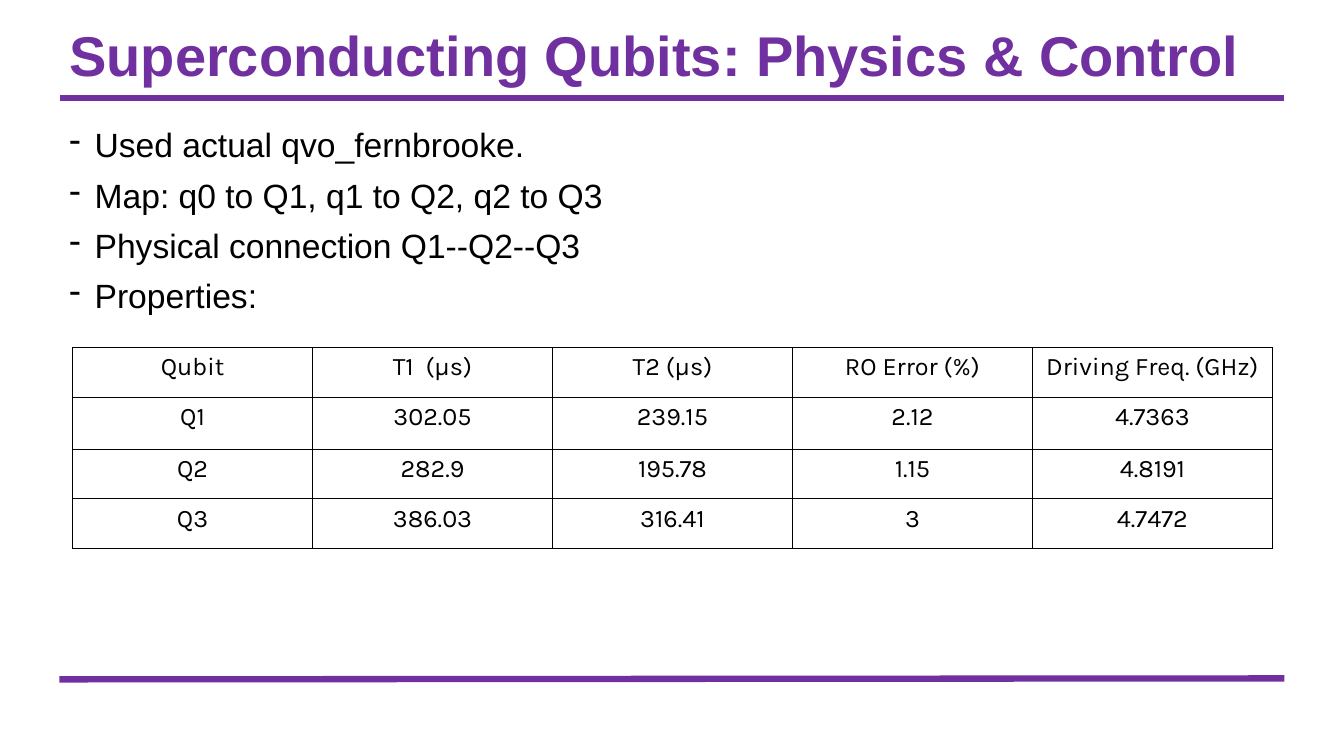
from lxml import etree
from pptx import Presentation
from pptx.dml.color import RGBColor
from pptx.enum.shapes import MSO_CONNECTOR
from pptx.enum.text import MSO_ANCHOR, PP_ALIGN
from pptx.oxml.ns import qn
from pptx.util import Inches, Pt

STRAIGHT = MSO_CONNECTOR.STRAIGHT
MIDDLE, TOP = MSO_ANCHOR.MIDDLE, MSO_ANCHOR.TOP
CENTER = PP_ALIGN.CENTER

COLORS = {"purple": "7030A0", "black": "000000"}

TITLE = "Superconducting Qubits: Physics & Control"
POINTS = [
    "Used actual qvo_fernbrooke.",
    "Map: q0 to Q1, q1 to Q2, q2 to Q3",
    "Physical connection Q1--Q2--Q3",
    "Properties:",
]
ROWS = [
    ["Qubit", "T1  (µs)", "T2 (µs)", "RO Error (%)", "Driving Freq. (GHz)"],
    ["Q1", "302.05", "239.15", "2.12", "4.7363"],
    ["Q2", "282.9", "195.78", "1.15", "4.8191"],
    ["Q3", "386.03", "316.41", "3", "4.7472"],
]
HEIGHTS = [0.49, 0.52, 0.49, 0.49]
COL_WIDTH = 2.38


def set_font(para, name, size, color, bold=False):
    font = para.font
    font.name, font.size, font.bold = name, Pt(size), bold
    font.color.rgb = RGBColor.from_string(COLORS[color])


def add_rule(slide, x1, y1, x2, y2):
    rule = slide.shapes.add_connector(
        STRAIGHT, Inches(x1), Inches(y1), Inches(x2), Inches(y2))
    rule.line.color.rgb = RGBColor.from_string(COLORS["purple"])
    rule.line.width = Pt(4.5)
    etree.SubElement(rule._element.spPr, qn("a:effectLst"))


def add_box(slide, x, y, w, h, anchor):
    box = slide.shapes.add_textbox(Inches(x), Inches(y), Inches(w), Inches(h))
    frame = box.text_frame
    frame.word_wrap = True
    frame.vertical_anchor = anchor
    return frame


def add_title(slide):
    para = add_box(slide, 0.59, 0.15, 12.15, 0.85, MIDDLE).paragraphs[0]
    para.text = TITLE
    para.line_spacing = 0.9
    set_font(para, "Arial", 40, "purple", bold=True)


def add_points(slide):
    frame = add_box(slide, 0.59, 1.23, 12.15, 5.53, TOP)
    for i, point in enumerate(POINTS):
        para = frame.add_paragraph() if i else frame.paragraphs[0]
        para.text = point
        para.line_spacing = 0.9
        para.space_before = Pt(10)
        # Dash with a hanging indent
        props = para._p.get_or_add_pPr()
        props.set("marL", str(Inches(0.25)))
        props.set("indent", str(Inches(-0.25)))
        etree.SubElement(props, qn("a:buChar"), char="-")
        set_font(para, "Arial", 24, "black")


def add_borders(cell):
    props = cell._tc.get_or_add_tcPr()
    for side in ("lnL", "lnR", "lnT", "lnB"):
        line = etree.SubElement(props, qn(f"a:{side}"), w=str(Pt(1)))
        fill = etree.SubElement(line, qn("a:solidFill"))
        etree.SubElement(fill, qn("a:srgbClr"), val=COLORS["black"])


def add_grid(slide):
    count = len(ROWS[0])
    table = slide.shapes.add_table(
        len(ROWS), count, Inches(0.72), Inches(3.45),
        Inches(COL_WIDTH * count), Inches(sum(HEIGHTS))).table
    table.first_row = table.horz_banding = False
    for col in table.columns:
        col.width = Inches(COL_WIDTH)
    for r, (row, height) in enumerate(zip(ROWS, HEIGHTS)):
        table.rows[r].height = Inches(height)
        for c, text in enumerate(row):
            cell = table.cell(r, c)
            cell.text = text
            add_borders(cell)
            cell.fill.background()
            para = cell.text_frame.paragraphs[0]
            para.alignment = CENTER
            set_font(para, "Karla", 18, "black")


def main():
    deck = Presentation()
    deck.slide_width, deck.slide_height = Inches(13.33), Inches(7.5)
    slide = deck.slides.add_slide(deck.slide_layouts[6])

    # Rules above and below the content
    add_rule(slide, 0.6, 0.97, 12.74, 0.97)
    add_rule(slide, 0.59, 6.74, 12.74, 6.73)

    # Text and table
    add_title(slide)
    add_points(slide)
    add_grid(slide)
    deck.save("out.pptx")


if __name__ == "__main__":
    main()
